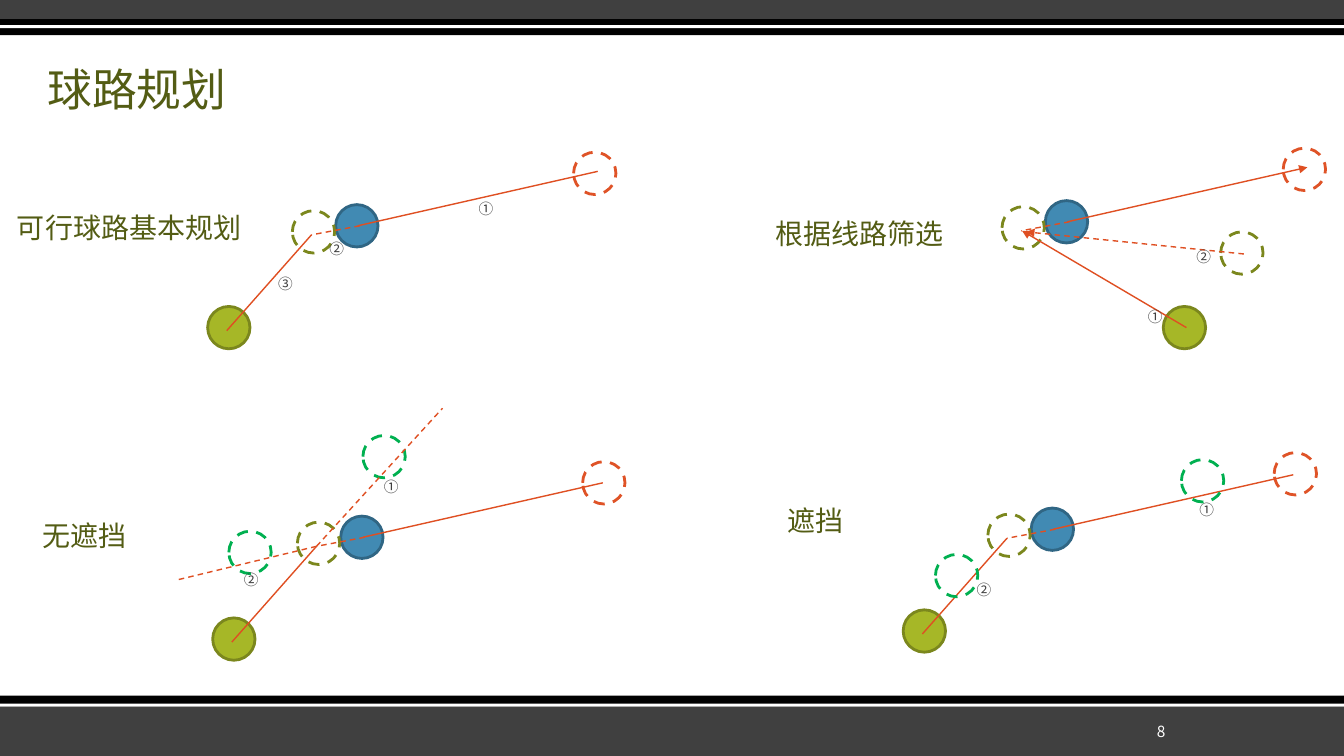
from lxml.etree import SubElement
from pptx import Presentation
from pptx.dml.color import RGBColor
from pptx.enum.dml import MSO_LINE
from pptx.enum.shapes import MSO_CONNECTOR, MSO_SHAPE
from pptx.enum.text import MSO_ANCHOR, PP_ALIGN
from pptx.oxml.ns import qn
from pptx.util import Inches, Pt

FONT = "Noto Sans CJK SC"
WHITE = RGBColor(0xFF, 0xFF, 0xFF)
BLACK = RGBColor(0, 0, 0)
CHARCOAL = RGBColor(0x40, 0x40, 0x40)
OLIVE = RGBColor(0x53, 0x5C, 0x14)
LIME = RGBColor(0xA6, 0xB7, 0x27)
LIME_EDGE = RGBColor(0x7B, 0x87, 0x1D)
BLUE = RGBColor(0x41, 0x8A, 0xB3)
BLUE_EDGE = RGBColor(0x30, 0x66, 0x84)
ORANGE = RGBColor(0xDF, 0x53, 0x27)
ROUTE = RGBColor(0xDF, 0x4F, 0x22)
GREEN = RGBColor(0x00, 0xB0, 0x50)

COLUMNS, ROWS = 133.33, 75
BALL = 4.2
STRUCK_BALL = (0, 0)
GHOST_BALL = (-4.3, 0.6)
CUE_BALL = (-12.7, 10.1)
CONTACT = (-2.4, 3)
CUE_START = (-10.8, 12.5)

BANDS = [
    (70, 5, CHARCOAL), (69, 1.1, BLACK), (69.8, 0.3, WHITE),
    (0, 1.9, CHARCOAL), (1.9, 1.6, BLACK), (2.5, 0.3, WHITE),
]
CAPTIONS = [
    ("可行球路基本规划", 0.7, 20.8), ("根据线路筛选", 75.9, 21.4),
    ("无遮挡", 3.2, 51.3), ("遮挡", 77.1, 49.8),
]


def grid(cells):
    return Inches(cells / 10)


def shift(origin, offset):
    return origin[0] + offset[0], origin[1] + offset[1]


def write(frame, text, size, color, align=PP_ALIGN.LEFT, spacing=1.0):
    frame.word_wrap = True
    para = frame.paragraphs[0]
    para.alignment = align
    para.line_spacing = spacing
    span = para.add_run()
    span.text = text
    span.font.size = Pt(size)
    span.font.name = FONT
    span.font.color.rgb = color
    SubElement(span.font._element, qn("a:ea"), typeface=FONT)


def add_text(page, text, place, size, color, **style):
    box = page.shapes.add_textbox(*map(grid, place))
    write(box.text_frame, text, size, color, **style)
    return box


def add_band(page, top, height, color):
    band = page.shapes.add_shape(
        MSO_SHAPE.RECTANGLE, 0, grid(top), grid(COLUMNS), grid(height))
    band.shadow.inherit = False
    band.fill.solid()
    band.fill.fore_color.rgb = color
    band.line.fill.background()


def add_ball(page, origin, offset, edge, fill=None, dashed=True):
    left, top = shift(origin, offset)
    ball = page.shapes.add_shape(
        MSO_SHAPE.OVAL, grid(left), grid(top), grid(BALL), grid(BALL))
    ball.shadow.inherit = False
    if fill is None:
        ball.fill.background()
    else:
        ball.fill.solid()
        ball.fill.fore_color.rgb = fill
    ball.line.color.rgb = edge
    ball.line.width = Pt(2)
    if dashed:
        ball.line.dash_style = MSO_LINE.DASH


def add_route(page, origin, start, end, dashed=False, arrow=False):
    points = shift(origin, start) + shift(origin, end)
    route = page.shapes.add_connector(MSO_CONNECTOR.STRAIGHT, *map(grid, points))
    route.line.color.rgb = ROUTE
    route.line.width = Pt(1)
    if dashed:
        route.line.dash_style = MSO_LINE.DASH
    if arrow:
        SubElement(route.line._get_or_add_ln(), qn("a:tailEnd"), type="triangle")
    SubElement(route._element.spPr, qn("a:effectLst"))


def add_marks(page, origin, offsets):
    for mark, offset in zip("①②③", offsets):
        place = shift(origin, offset) + (3.1, 3.4)
        add_text(page, mark, place, 10.5, CHARCOAL, align=PP_ALIGN.JUSTIFY)


def add_shot(page, origin, target, cue=CUE_BALL, arrow=False):
    add_ball(page, origin, cue, LIME_EDGE, LIME, dashed=False)
    add_ball(page, origin, target, ORANGE, WHITE)
    add_ball(page, origin, STRUCK_BALL, BLUE_EDGE, BLUE, dashed=False)
    add_ball(page, origin, GHOST_BALL, LIME_EDGE)
    add_route(page, origin, (2.2, 2.1), (26, -3.3), arrow=arrow)
    add_route(page, origin, (2.4, 2.1), CONTACT, dashed=True)


def add_basic_plan(page, origin):
    add_shot(page, origin, (23.6, -5.2))
    add_route(page, origin, CONTACT, CUE_START)
    add_marks(page, origin, [(13.2, -1), (-1.6, 3), (-6.7, 6.5)])


def add_route_choice(page, origin):
    add_shot(page, origin, (23.6, -5.2), cue=(11.7, 10.5), arrow=True)
    add_ball(page, origin, (17.4, 3.1), LIME_EDGE)
    add_route(page, origin, (19.7, 5.3), (-1.9, 3.1), dashed=True, arrow=True)
    add_route(page, origin, (14, 12.6), (-2.3, 3), arrow=True)
    add_marks(page, origin, [(9.2, 10.2), (14, 4.2)])


def add_clear_route(page, origin):
    add_shot(page, origin, (24, -5.4))
    add_route(page, origin, CONTACT, CUE_START)
    for obstacle in [(2.2, -8), (-11.1, 1.5)]:
        add_ball(page, origin, obstacle, GREEN)
    for end in [(10.1, -10.7), (-16.1, 6.3)]:
        add_route(page, origin, CONTACT, end, dashed=True)
    add_marks(page, origin, [(3.3, -4.3), (-10.6, 4.9)])


def add_blocked_route(page, origin):
    add_shot(page, origin, (24.1, -5.5))
    add_route(page, origin, CONTACT, CUE_START)
    for obstacle in [(-9.5, 4.6), (14.9, -4.8)]:
        add_ball(page, origin, obstacle, GREEN)
    add_marks(page, origin, [(15.7, -1.2), (-6.4, 6.7)])


def add_title(page, text):
    title = page.shapes.title
    title.left, title.top, title.width, title.height = map(
        grid, (3.7, 0.3, 100, 11.7))
    title.text_frame.vertical_anchor = MSO_ANCHOR.BOTTOM
    write(title.text_frame, text, 32, OLIVE, spacing=0.9)


def main():
    deck = Presentation()
    deck.slide_width, deck.slide_height = grid(COLUMNS), grid(ROWS)
    page = deck.slides.add_slide(deck.slide_layouts[5])
    for band in BANDS:
        add_band(page, *band)
    add_title(page, "球路规划")
    add_basic_plan(page, (33.3, 20.3))
    add_route_choice(page, (103.7, 19.9))
    add_blocked_route(page, (102.3, 50.4))
    add_clear_route(page, (33.8, 51.2))
    for text, left, top in CAPTIONS:
        add_text(page, text, (left, top, 46.1, 4), 20, OLIVE, spacing=0.9)
    number = add_text(page, "8", (106.4, 71.3, 10.2, 2.5), 11, WHITE,
                      align=PP_ALIGN.RIGHT)
    number.text_frame.vertical_anchor = MSO_ANCHOR.MIDDLE
    deck.save("out.pptx")


if __name__ == "__main__":
    main()
